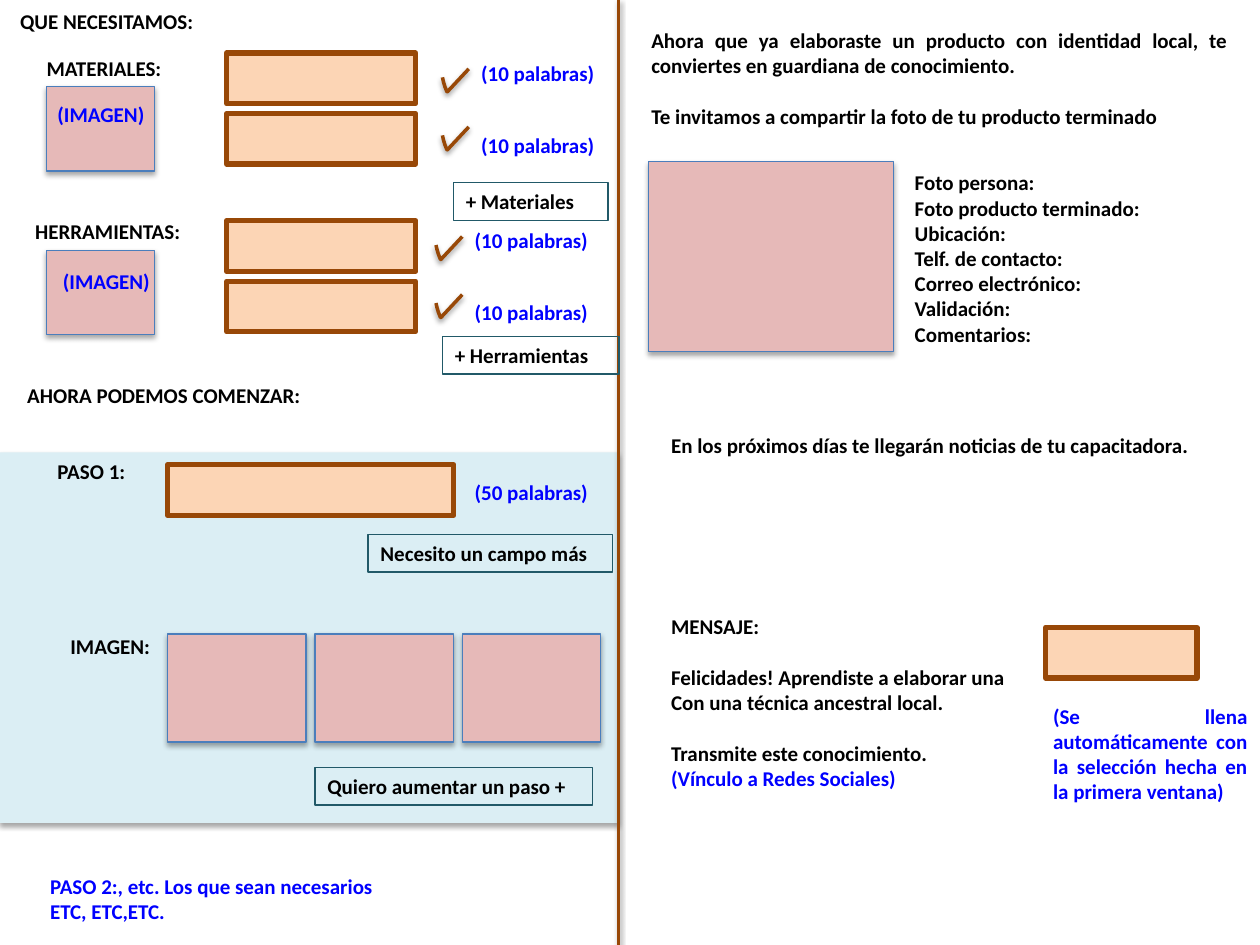
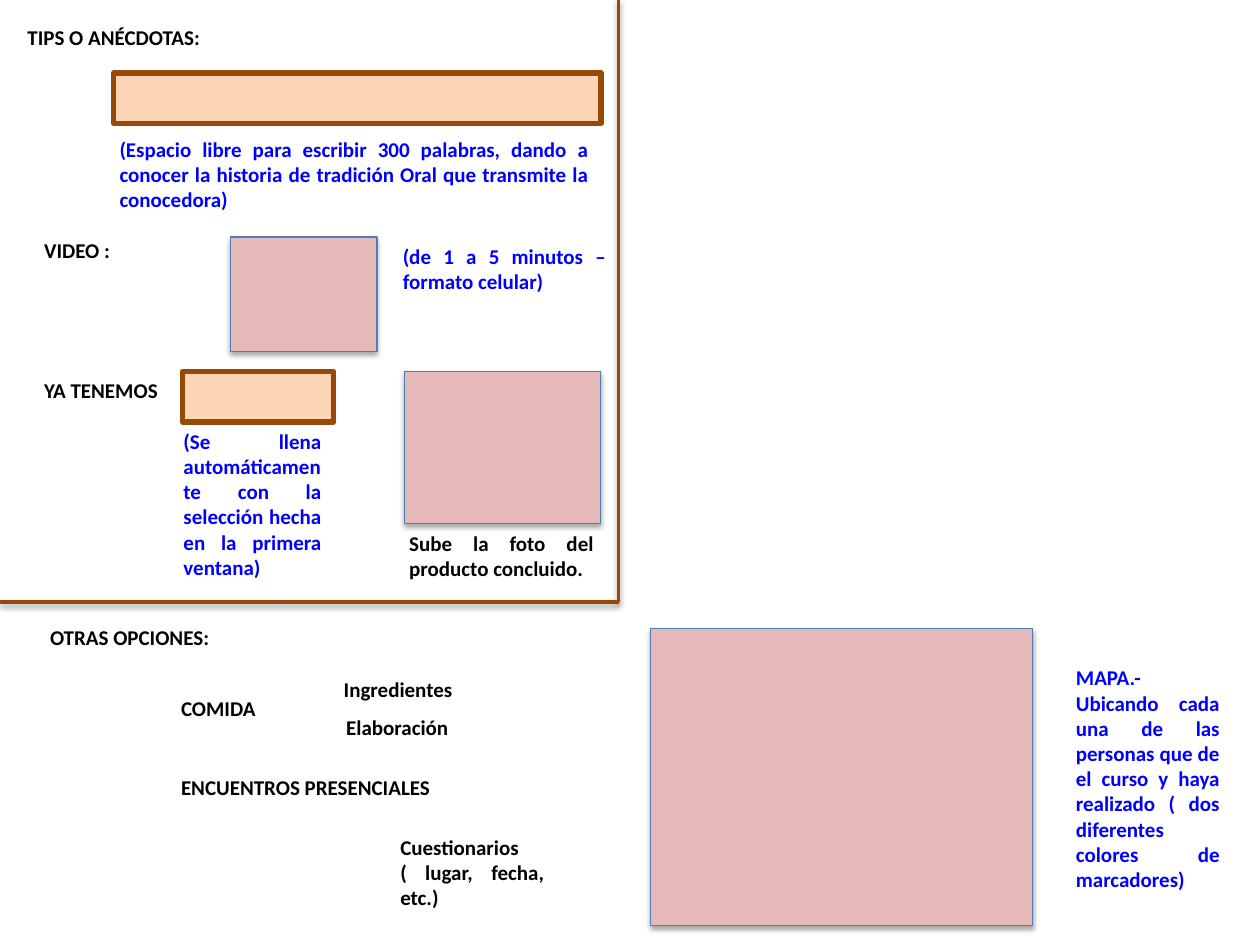
from lxml.etree import SubElement
from pptx import Presentation
from pptx.dml.color import RGBColor
from pptx.enum.shapes import MSO_CONNECTOR, MSO_SHAPE
from pptx.enum.text import MSO_ANCHOR, MSO_AUTO_SIZE, PP_ALIGN
from pptx.oxml.ns import qn
from pptx.util import Cm, Pt

# Shared look
BLACK, BLUE = "000000", "0000FF"
BROWN, PEACH, PINK = "984807", "FCD5B5", "E6B9B8"
IMAGE_EDGE, BUTTON_EDGE, BAND = "4B7EBC", "215968", "DBEEF4"
FONT = {"name": "Calibri", "size": Pt(12), "bold": True}
FRAME = {"word_wrap": True, "auto_size": MSO_AUTO_SIZE.NONE,
         "vertical_anchor": MSO_ANCHOR.TOP}
SHAPE_SHADOW = {"opacity": 35, "distance": 1.8}
LINE_SHADOW = {"opacity": 38, "distance": 1.6}
LINE_HEIGHT, FIELD_HEIGHT = 0.76, 1.02
DIVIDER_LEFT = 12.47
AUTOFILL = "(Se llena automáticamente con la selección hecha en la primera ventana)"


def color(hex_string):
    return RGBColor.from_string(hex_string)


def apply(target, values):
    for name, value in values.items():
        setattr(target, name, value)


def set_line(shape, hex_string, width):
    shape.line.color.rgb = color(hex_string)
    shape.line.width = Pt(width)


def set_shadow(shape, opacity, distance):
    """Replace the theme shadow with a soft one below the shape."""
    properties = shape.element.spPr
    effects = properties.find(qn("a:effectLst"))
    if effects is None:
        effects = SubElement(properties, qn("a:effectLst"))
    shadow = SubElement(effects, qn("a:outerShdw"), blurRad=str(Pt(3.1)),
                        dist=str(Pt(distance)), dir="5400000", rotWithShape="0")
    shade = SubElement(shadow, qn("a:srgbClr"), val=BLACK)
    SubElement(shade, qn("a:alpha"), val=str(opacity * 1000))


# Basic parts; every length is in centimetres
def write(shape, lines, hex_string=BLACK):
    """Each line is (text, colour or None, blank line above)."""
    frame = shape.text_frame
    apply(frame, FRAME)
    for index, line in enumerate(lines):
        text, own_color, gap = (line, None, False) if isinstance(line, str) else line
        paragraph = frame.paragraphs[0] if index == 0 else frame.add_paragraph()
        apply(paragraph, {"alignment": PP_ALIGN.JUSTIFY,
                          "space_before": Pt(14.65 if gap else 0)})
        run = paragraph.add_run()
        run.text = text
        apply(run.font, FONT)
        run.font.color.rgb = color(own_color or hex_string)


def add_text(slide, left, top, width, lines, hex_string=BLACK, height=LINE_HEIGHT):
    box = slide.shapes.add_textbox(Cm(left), Cm(top), Cm(width), Cm(height))
    write(box, [lines] if isinstance(lines, str) else lines, hex_string)
    return box


def add_title(slide, left, top, width, text):
    title = slide.shapes.title
    apply(title, {"left": Cm(left), "top": Cm(top),
                  "width": Cm(width), "height": Cm(LINE_HEIGHT)})
    write(title, [text])


def add_box(slide, left, top, width, height, fill):
    box = slide.shapes.add_shape(MSO_SHAPE.RECTANGLE, Cm(left), Cm(top),
                                 Cm(width), Cm(height))
    box.shadow.inherit = False
    box.fill.solid()
    box.fill.fore_color.rgb = color(fill)
    return box


def add_field(slide, left, top, width):
    set_line(add_box(slide, left, top, width, FIELD_HEIGHT, PEACH), BROWN, 3)


def add_image_slot(slide, left, top, width, height):
    slot = add_box(slide, left, top, width, height, PINK)
    set_line(slot, IMAGE_EDGE, 0.75)
    set_shadow(slot, **SHAPE_SHADOW)


def add_button(slide, left, top, width, text):
    set_line(add_text(slide, left, top, width, text), BUTTON_EDGE, 0.75)


def add_divider(slide, start, end):
    divider = slide.shapes.add_connector(
        MSO_CONNECTOR.STRAIGHT, *[Cm(value) for value in (*start, *end)])
    set_line(divider, BROWN, 2)
    set_shadow(divider, **LINE_SHADOW)


def add_tick(slide, left, top):
    builder = slide.shapes.build_freeform(0, 17, scale=Cm(0.01))
    builder.add_line_segments([(2, 26), (5, 36), (9, 46), (10, 46), (53, 0)],
                              close=False)
    tick = builder.convert_to_shape(Cm(left), Cm(top))
    tick.shadow.inherit = False
    tick.fill.background()
    set_line(tick, BROWN, 2)
    set_shadow(tick, **LINE_SHADOW)


# Regions of slide 1
def supply_region(slide, top, label, label_left, caption_left, caption_top,
                  rows_top, ticks_left, button):
    """Image slot, two ticked fields and a button for adding more."""
    add_text(slide, label_left, top, 3.53, label)
    add_image_slot(slide, 0.94, top + 0.76, 2.18, 1.7)
    add_text(slide, caption_left, top + caption_top, 2.46, "(IMAGEN)", BLUE)
    for row in range(2):
        add_field(slide, 4.57, top + rows_top + 1.22 * row, 3.81)
        add_tick(slide, ticks_left, top + rows_top + 0.32 + 1.17 * row)
        add_text(slide, ticks_left + 0.53, top + rows_top + 0.02 + 1.45 * row,
                 3.02, "(10 palabras)", BLUE)
    left, button_top, width, text = button
    add_button(slide, left, top + button_top, width, text)


def step_region(slide, left, top, width, height):
    """Band with the first step, its text field and three image slots."""
    set_band = add_box(slide, left, top, width, height, BAND)
    set_band.line.fill.background()
    set_shadow(set_band, **SHAPE_SHADOW)
    add_text(slide, left + 0.91, top, 2.21, "PASO 1:")
    add_field(slide, left + 3.38, top + 0.25, 5.77)
    add_text(slide, left + 9.32, top + 0.43, 3.02, "(50 palabras)", BLUE)
    add_button(slide, left + 7.42, top + 1.65, 4.93, "Necesito un campo más")
    add_text(slide, left + 1.17, top + 3.53, 2.21, "IMAGEN:")
    for column in range(3):
        add_image_slot(slide, left + 3.38 + 2.97 * column, top + 3.66, 2.79, 2.18)
    add_button(slide, left + 6.35, top + 6.35, 5.59, "Quiero aumentar un paso +")


def share_region(slide, left, top):
    """Invitation, photo slot and the data of the finished product."""
    add_text(slide, left, top, 12.12, [
        "Ahora que ya elaboraste un producto con identidad local, "
        "te conviertes en guardiana de conocimiento.",
        ("Te invitamos a compartir la foto de tu producto terminado", None, True),
    ], height=2.82)
    add_image_slot(slide, left + 0.2, top + 2.82, 4.93, 3.84)
    add_text(slide, left + 5.31, top + 2.87, 5.94, [
        "Foto persona:", "Foto producto terminado:", "Ubicación:",
        "Telf. de contacto:", "Correo electrónico:", "Validación:",
        "Comentarios:"], height=3.84)
    add_text(slide, left + 0.4, top + 8.16, 12.12,
             "En los próximos días te llegarán noticias de tu capacitadora.")


def message_region(slide, left, top):
    """Closing message with the product name filled in."""
    add_text(slide, left, top, 12.12, [
        "MENSAJE:",
        ("Felicidades! Aprendiste a elaborar una", None, True),
        "Con una técnica ancestral local.",
        ("Transmite este conocimiento.", None, True),
        ("(Vínculo a Redes Sociales)", BLUE, False),
    ], height=4.88)
    add_text(slide, left + 7.7, top + 1.81, 4.42, AUTOFILL, BLUE, 2.31)
    add_field(slide, left + 7.8, top + 0.41, 3.05)


# Regions of slide 2
def tips_region(slide, left, top):
    """Free text, video and photo of the finished product."""
    add_field(slide, left + 2.29, top, 9.83)
    add_text(slide, left + 2.16, top + 1.15, 9.96,
             "(Espacio libre para escribir 300 palabras, dando a conocer la "
             "historia de tradición Oral que transmite la conocedora)", BLUE, 1.8)
    add_text(slide, left + 0.64, top + 3.2, 4.47, "VIDEO :")
    add_image_slot(slide, left + 4.65, top + 3.31, 2.95, 2.31)
    add_text(slide, left + 7.87, top + 3.31, 4.6,
             "(de 1 a 5 minutos – formato celular)", BLUE, 1.27)
    add_text(slide, left + 0.64, top + 6.02, 4.47, "YA TENEMOS")
    add_text(slide, left + 3.45, top + 7.04, 3.28, AUTOFILL, BLUE, 3.33)
    add_field(slide, left + 3.68, top + 6.02, 3.05)
    add_image_slot(slide, left + 8.15, top + 6.02, 3.96, 3.07)
    add_text(slide, left + 8, top + 9.1, 4.22,
             "Sube la foto del producto concluido.", height=1.27)


def options_region(slide, left, top):
    """Outline of the other options."""
    for x, y, width, text in [
            (0, 0, 4.42, "OTRAS OPCIONES:"),
            (2.64, 1.42, 4.42, "COMIDA"),
            (5.92, 1.04, 3.4, "Ingredientes"),
            (5.97, 1.8, 3.4, "Elaboración"),
            (2.64, 3.02, 8.97, "ENCUENTROS PRESENCIALES")]:
        add_text(slide, left + x, top + y, width, text)
    add_text(slide, left + 7.06, top + 4.22, 3.4,
             "Cuestionarios ( lugar, fecha, etc.)", height=1.8)


def map_region(slide, left, top):
    add_image_slot(slide, left, top, 7.7, 5.99)
    add_text(slide, left + 8.33, top + 0.61, 3.4, [
        "MAPA.-",
        "Ubicando cada una de las personas que de el curso y haya realizado "
        "( dos diferentes colores de marcadores)"], BLUE, 4.88)


def build_steps_slide(presentation):
    slide = presentation.slides.add_slide(presentation.slide_layouts[5])
    add_title(slide, 0.15, 0.05, 4.42, "QUE NECESITAMOS:")
    step_region(slide, 0, 9.12, DIVIDER_LEFT, 7.47)
    add_divider(slide, (DIVIDER_LEFT, 0), (DIVIDER_LEFT, 19.05))
    supply_region(slide, 0.99, "MATERIALES:", 0.69, 0.91, 0.94, 0.08, 8.92,
                  (9.14, 2.69, 3.12, "+ Materiales"))
    supply_region(slide, 4.29, "HERRAMIENTAS:", 0.46, 1.02, 0.99, 0.16, 8.79,
                  (8.92, 2.49, 3.56, "+ Herramientas"))
    add_text(slide, 0.3, 7.59, 7.57, "AHORA PODEMOS COMENZAR:")
    add_text(slide, 0.76, 17.48, 7.95, [
        "PASO 2:, etc. Los que sean necesarios", "ETC, ETC,ETC."], BLUE, 1.27)
    share_region(slide, 12.88, 0.43)
    message_region(slide, 13.28, 12.24)


def build_tips_slide(presentation):
    slide = presentation.slides.add_slide(presentation.slide_layouts[5])
    corner = (DIVIDER_LEFT, 12.14)
    add_title(slide, 0.3, 0.36, 7.57, "TIPS O ANÉCDOTAS:")
    add_divider(slide, (DIVIDER_LEFT, 0), corner)
    add_divider(slide, corner, (0, 12.14))
    tips_region(slide, 0, 1.47)
    options_region(slide, 0.76, 12.47)
    map_region(slide, 13.11, 12.67)


presentation = Presentation()
apply(presentation, {"slide_width": Cm(25.4), "slide_height": Cm(19.05)})
build_steps_slide(presentation)
build_tips_slide(presentation)
presentation.save("out.pptx")
